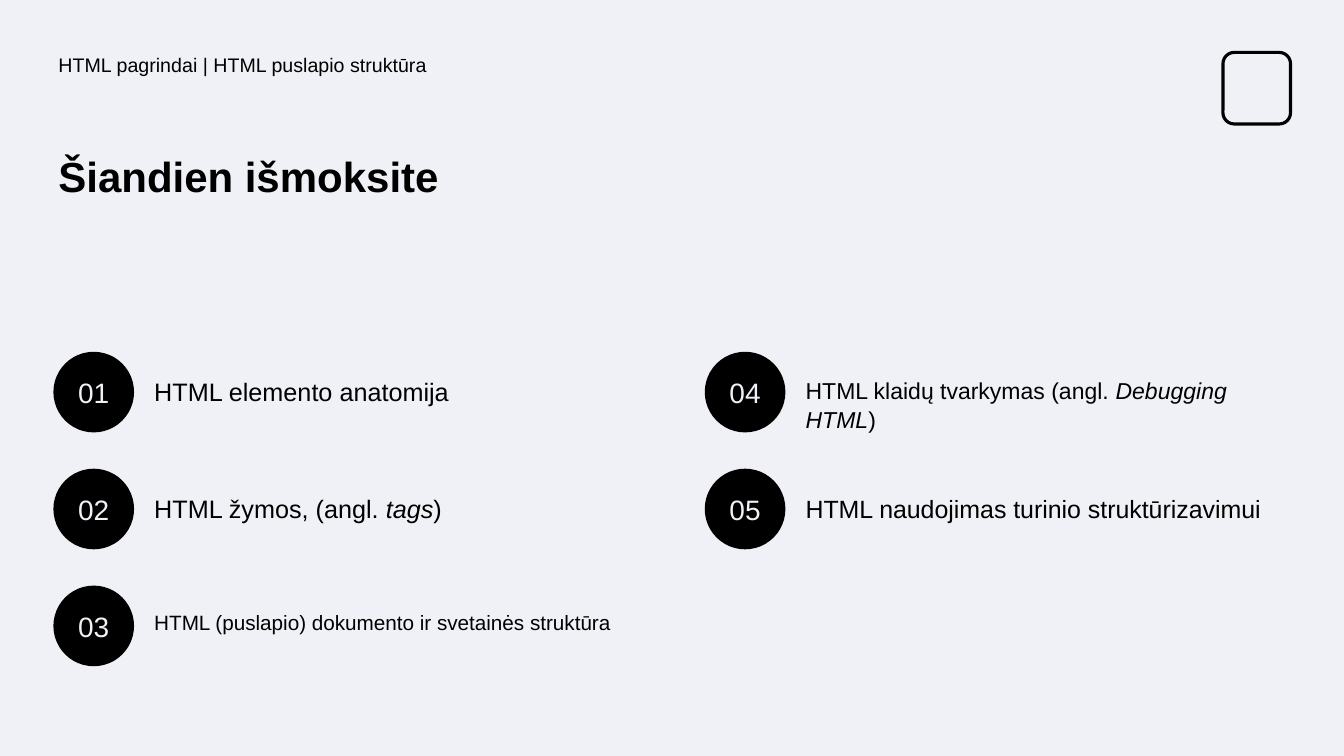
from pptx import Presentation
from pptx.dml.color import RGBColor
from pptx.enum.shapes import MSO_SHAPE as SHAPE
from pptx.enum.text import MSO_ANCHOR as ANCHOR, PP_ALIGN as ALIGN
from pptx.util import Inches, Pt

BLACK = RGBColor(0x00, 0x00, 0x00)
PALE = RGBColor(0xF0, 0xF1, 0xF6)
CIRCLE = 0.8
ROWS_PER_COLUMN = 3
COLUMN_LEFTS = (0.53, 6.99)
FIRST_TOP, ROW_STEP = 3.49, 1.16


def write(s, runs, size, color=BLACK, bold=False, spacing=1.0):
    """Fill a shape with one paragraph of (text, italic) runs."""
    tf = s.text_frame
    tf.word_wrap = True
    tf.margin_left = tf.margin_right = Inches(0.05)
    tf.margin_top = tf.margin_bottom = Inches(0.05)
    p = tf.paragraphs[0]
    p.line_spacing = spacing
    for text, italic in runs:
        r = p.add_run()
        r.text = text
        r.font.name = "Arial"
        r.font.size = Pt(size)
        r.font.bold = bold
        r.font.italic = italic
        r.font.color.rgb = color
    return p


def add_box(left, top, width, height):
    return sp.add_textbox(Inches(left), Inches(top), Inches(width), Inches(height))


prs = Presentation()
prs.slide_width, prs.slide_height = Inches(13.33), Inches(7.5)
slide = prs.slides.add_slide(prs.slide_layouts[6])
slide.background.fill.solid()
slide.background.fill.fore_color.rgb = PALE
sp = slide.shapes

# Plain emblem in the corner
emblem = sp.add_shape(SHAPE.ROUNDED_RECTANGLE, Inches(12.13), Inches(0.52),
                      Inches(0.67), Inches(0.71))
emblem.shadow.inherit = False
emblem.fill.background()
emblem.line.color.rgb = BLACK
emblem.line.width = Pt(2.25)

# Headings
write(add_box(0.53, 0.5, 7.42, 0.5),
      [("HTML pagrindai | HTML puslapio struktūra", False)], 14, spacing=0.9)
write(add_box(0.53, 1.5, 5.64, 1.49),
      [("Šiandien išmoksite", False)], 30, bold=True, spacing=0.9)

# Numbered topics, filled column by column
topics = [
    (18, [("HTML elemento anatomija", False)]),
    (18, [("HTML žymos, (angl. ", False), ("tags", True), (")", False)]),
    (14.8, [("HTML (puslapio) dokumento ir svetainės struktūra", False)]),
    (16.4, [("HTML klaidų tvarkymas (angl. ", False), ("Debugging HTML", True),
            (")", False)]),
    (17.8, [("HTML naudojimas turinio struktūrizavimui", False)]),
]
for i, (size, runs) in enumerate(topics):
    column, row = divmod(i, ROWS_PER_COLUMN)
    left = COLUMN_LEFTS[column]
    top = FIRST_TOP + row * ROW_STEP

    circle = sp.add_shape(SHAPE.OVAL, Inches(left), Inches(top),
                          Inches(CIRCLE), Inches(CIRCLE))
    circle.shadow.inherit = False
    circle.fill.solid()
    circle.fill.fore_color.rgb = BLACK
    circle.line.fill.background()
    p = write(circle, [(f"{i + 1:02d}", False)], 20, PALE)
    p.alignment = ALIGN.CENTER
    circle.text_frame.vertical_anchor = ANCHOR.MIDDLE

    write(add_box(left + 0.95, top + 0.18, 4.63, 0.45), runs, size, spacing=1.05)

prs.save("out.pptx")
